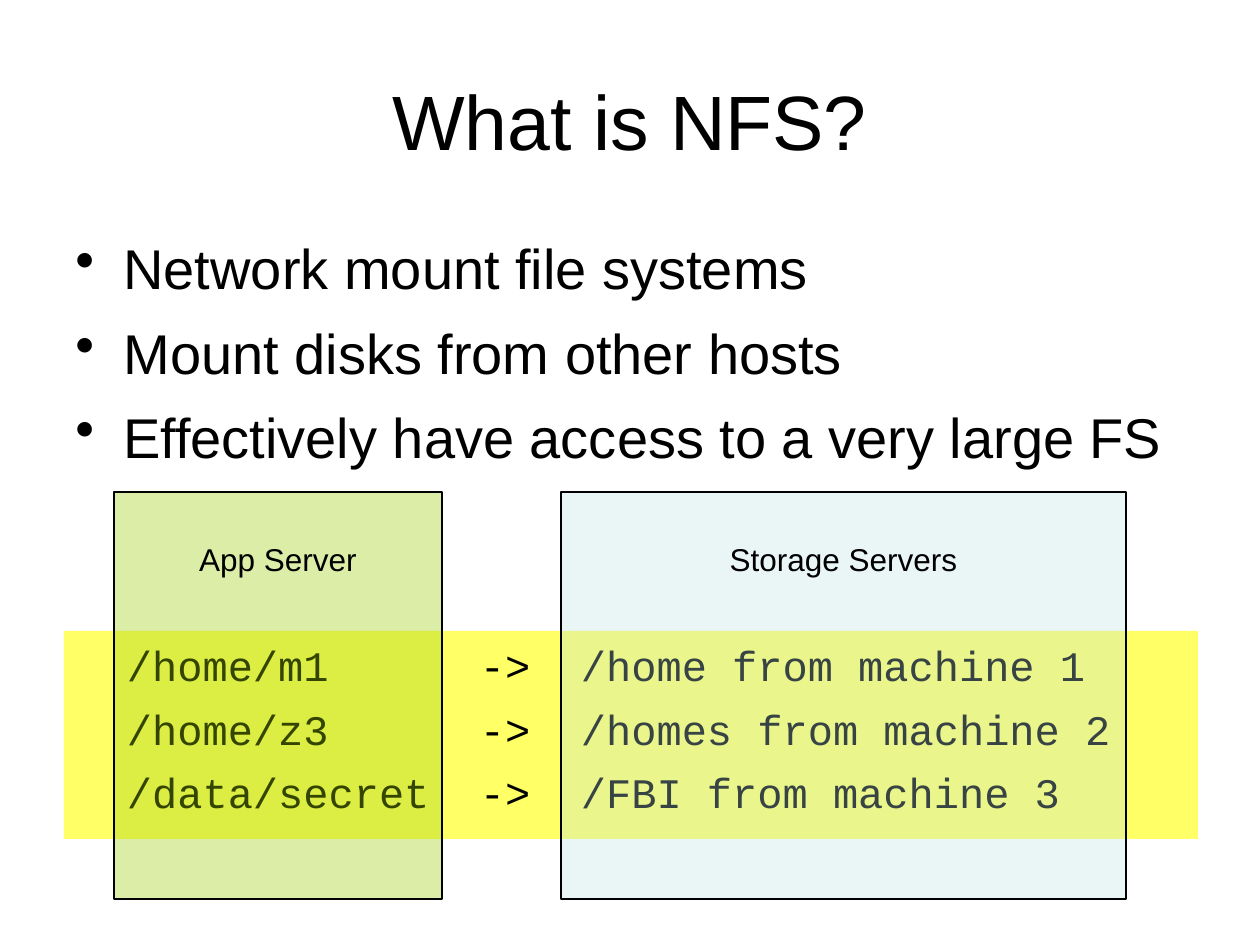
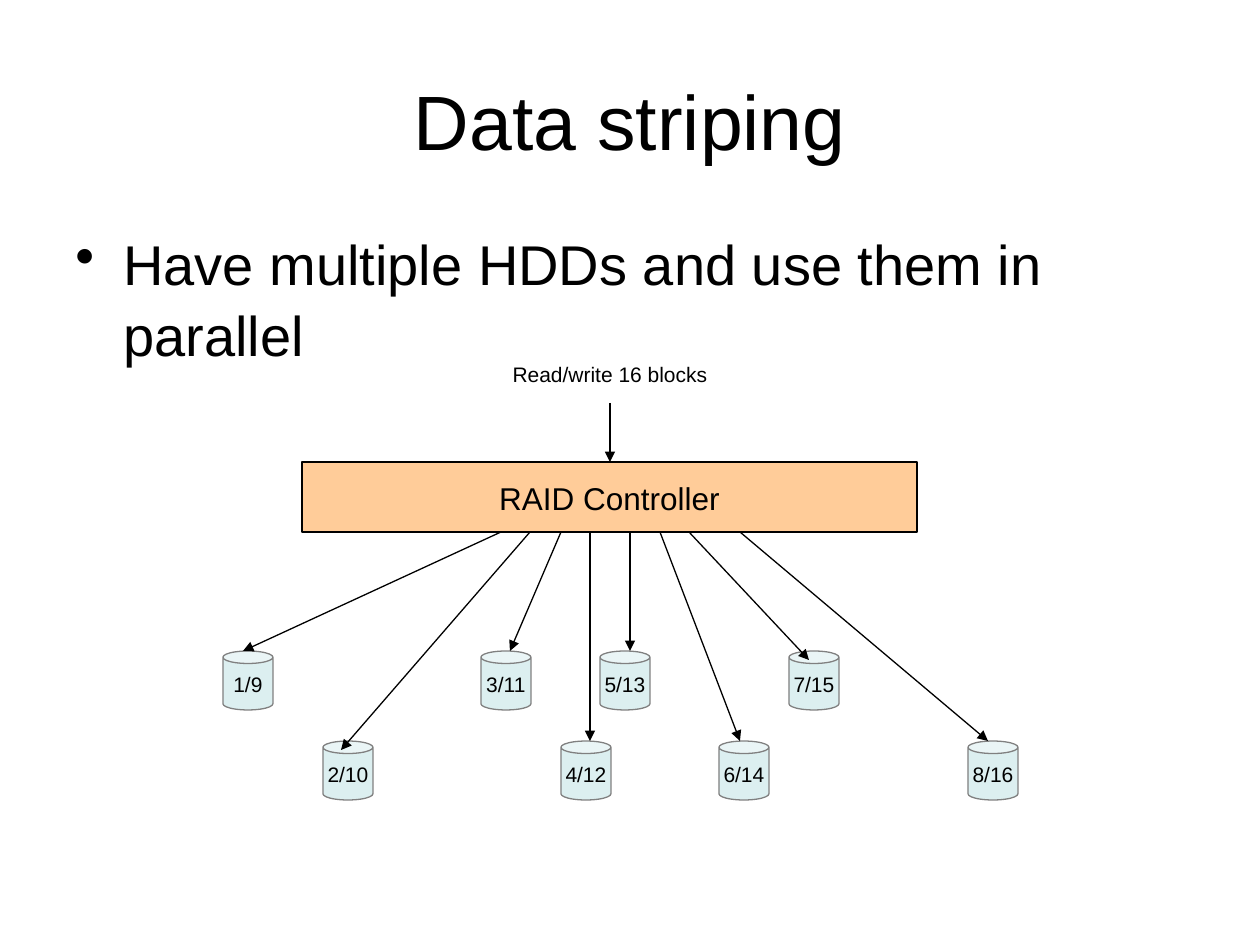
from lxml.etree import SubElement
from pptx import Presentation
from pptx.dml.color import RGBColor
from pptx.enum.shapes import MSO_CONNECTOR, MSO_SHAPE
from pptx.enum.text import MSO_ANCHOR, PP_ALIGN
from pptx.oxml.ns import qn
from pptx.util import Emu, Pt

EMU_PER_PX = 914400 / 126
BLACK = RGBColor(0x00, 0x00, 0x00)
YELLOW = RGBColor(0xFF, 0xFF, 0x66)
GREEN = RGBColor(0x99, 0xCC, 0x00)
AQUA = RGBColor(0xBB, 0xE0, 0xE3)
PEACH = RGBColor(0xFF, 0xCC, 0x99)
GREY = RGBColor(0x80, 0x80, 0x80)
SANS, MONO = "Arial", "Courier New"
LINE_SPACING = 1.05

MOUNTS = [
    ("/home/m1", "/home from machine 1"),
    ("/home/z3", "/homes from machine 2"),
    ("/data/secret", "/FBI from machine 3"),
]
UPPER_ROW, LOWER_ROW = 651, 741
DISKS = [
    (223, UPPER_ROW, 501, (243, 651)),
    (323, LOWER_ROW, 530, (341, 750)),
    (481, UPPER_ROW, 561, (510, 651)),
    (561, LOWER_ROW, 590, (590, 741)),
    (600, UPPER_ROW, 630, (630, 651)),
    (719, LOWER_ROW, 660, (740, 741)),
    (789, UPPER_ROW, 689, (809, 660)),
    (968, LOWER_ROW, 740, (988, 741)),
]


def px(length):
    """Turn pixels into EMU."""
    return Emu(round(length * EMU_PER_PX))


def write(frame, lines, size, font=SANS, align=PP_ALIGN.CENTER, gap=0,
          anchor=MSO_ANCHOR.TOP, wrap=True, bullet=None, tabs=()):
    """Fill a text frame with evenly styled paragraphs."""
    frame.word_wrap = wrap
    frame.vertical_anchor = anchor
    for index, line in enumerate(lines):
        paragraph = frame.paragraphs[0] if index == 0 else frame.add_paragraph()
        paragraph.text = line
        paragraph.alignment = align
        paragraph.line_spacing = LINE_SPACING
        if index:
            paragraph.space_before = Pt(gap)
        properties = paragraph._p.get_or_add_pPr()
        if bullet:
            properties.set("marL", str(px(48)))
            properties.set("indent", str(px(-48)))
            SubElement(properties, qn("a:buChar"), char=bullet)
        if tabs:
            stops = SubElement(properties, qn("a:tabLst"))
            for stop in tabs:
                SubElement(stops, qn("a:tab"), pos=str(px(stop)), algn="l")
        paragraph.font.size = Pt(size)
        paragraph.font.name = font
        paragraph.font.color.rgb = BLACK


def add_label(slide, box, lines, size, **style):
    """Place plain text."""
    label = slide.shapes.add_textbox(*map(px, box))
    write(label.text_frame, lines, size, **style)


def add_block(slide, kind, box, fill, line=None, opacity=100):
    """Place a filled preset shape, outlined if a line colour is given."""
    block = slide.shapes.add_shape(kind, *map(px, box))
    block.shadow.inherit = False
    block.fill.solid()
    block.fill.fore_color.rgb = fill
    if opacity < 100:
        colour = block.fill._xPr.find(qn("a:solidFill"))[0]
        SubElement(colour, qn("a:alpha"), val=str(opacity * 1000))
    if line is None:
        block.line.fill.background()
    else:
        block.line.color.rgb = line
        block.line.width = Pt(0.75)
    return block


def add_arrow(slide, start, tip):
    """Draw a thin black arrow."""
    arrow = slide.shapes.add_connector(MSO_CONNECTOR.STRAIGHT, *map(px, start + tip))
    arrow.line.color.rgb = BLACK
    arrow.line.width = Pt(0.75)
    SubElement(arrow.line._get_or_add_ln(), qn("a:tailEnd"), type="triangle")
    SubElement(arrow._element.spPr, qn("a:effectLst"))


def add_topic(deck, title, points, top, height):
    """Start a slide with its title and bullet points."""
    slide = deck.slides.add_slide(deck.slide_layouts[6])
    add_label(slide, (63, 38, 1134, 158), [title], 44, anchor=MSO_ANCHOR.MIDDLE)
    add_label(slide, (63, top, 1134, height), points, 32,
              align=PP_ALIGN.LEFT, gap=8, bullet="•")
    return slide


def add_server(slide, left, width, name, fill, opacity):
    """Draw a translucent server column with its name."""
    add_block(slide, MSO_SHAPE.RECTANGLE, (left, 492, width, 407), fill, BLACK, opacity)
    add_label(slide, (left + 30, 532, width - 60, 50), [name], 18)


def add_disk(slide, left, top, blocks):
    """Draw a disk that holds the given blocks."""
    disk = add_block(slide, MSO_SHAPE.CAN, (left, top, 50, 59), AQUA, GREY, 50)
    write(disk.text_frame, [blocks], 12, anchor=MSO_ANCHOR.MIDDLE, wrap=False)


def build_nfs(deck):
    """Show how remote folders are mounted."""
    points = ["Network mount file systems", "Mount disks from other hosts",
              "Effectively have access to a very large FS"]
    slide = add_topic(deck, "What is NFS?", points, 224, 297)
    band = add_block(slide, MSO_SHAPE.RECTANGLE, (64, 631, 1134, 208), YELLOW)
    band.text_frame.margin_left = px(63)
    write(band.text_frame, [f"{local}\t->\t{remote}" for local, remote in MOUNTS], 24,
          font=MONO, align=PP_ALIGN.LEFT, gap=6, tabs=(353, 454))
    add_server(slide, 114, 328, "App Server", GREEN, 34)
    add_server(slide, 561, 565, "Storage Servers", AQUA, 30)


def build_striping(deck):
    """Show a controller spreading blocks over disks."""
    points = ["Have multiple HDDs and use them in parallel"]
    slide = add_topic(deck, "Data striping", points, 220, 183)
    controller = add_block(slide, MSO_SHAPE.RECTANGLE, (302, 462, 615, 70), PEACH, BLACK)
    write(controller.text_frame, ["RAID Controller"], 18,
          anchor=MSO_ANCHOR.MIDDLE, wrap=False)
    add_label(slide, (446, 354, 328, 38), ["Read/write 16 blocks"], 12)
    add_arrow(slide, (610, 403), (610, 462))
    for number, (left, top, _, _) in enumerate(DISKS, 1):
        add_disk(slide, left, top, f"{number}/{number + len(DISKS)}")
    for _, _, outlet, tip in DISKS:
        add_arrow(slide, (outlet, 532), tip)


def main():
    """Build and save the deck."""
    deck = Presentation()
    deck.slide_width, deck.slide_height = px(1260), px(945)
    build_nfs(deck)
    build_striping(deck)
    deck.save("out.pptx")


if __name__ == "__main__":
    main()
